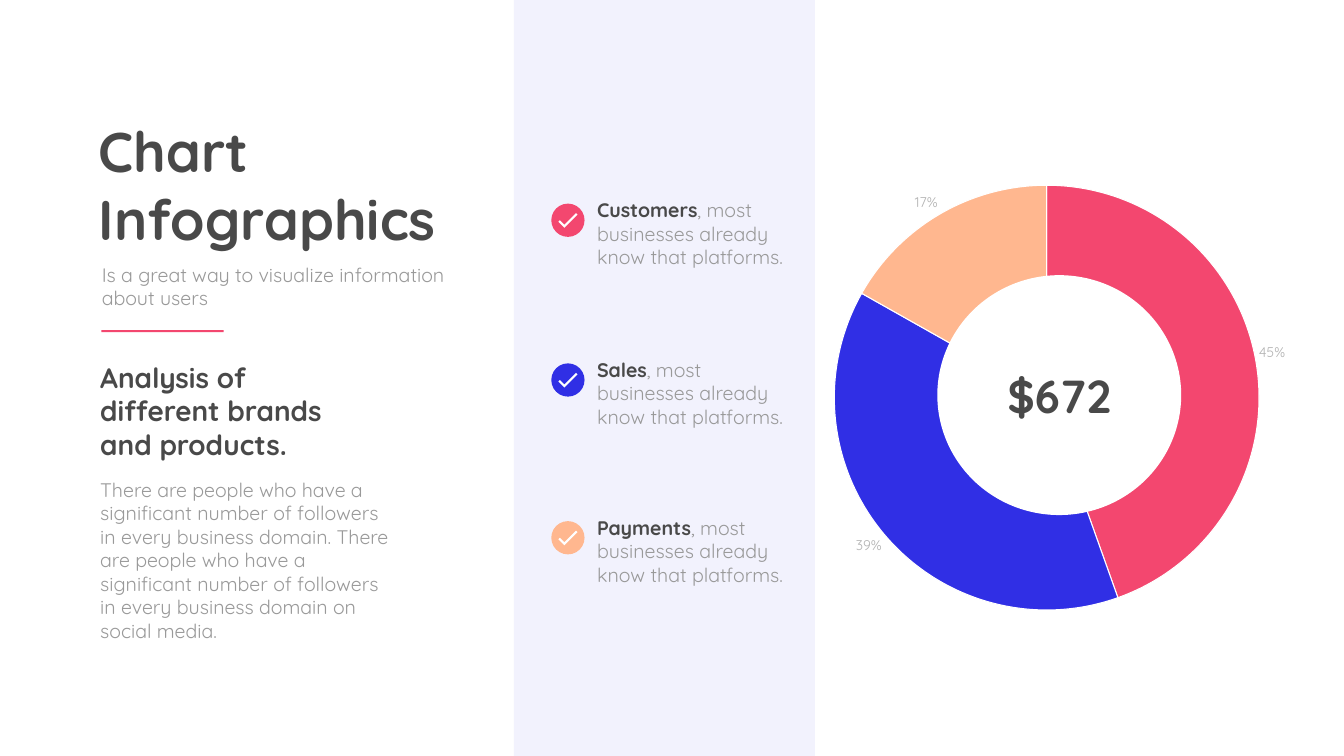
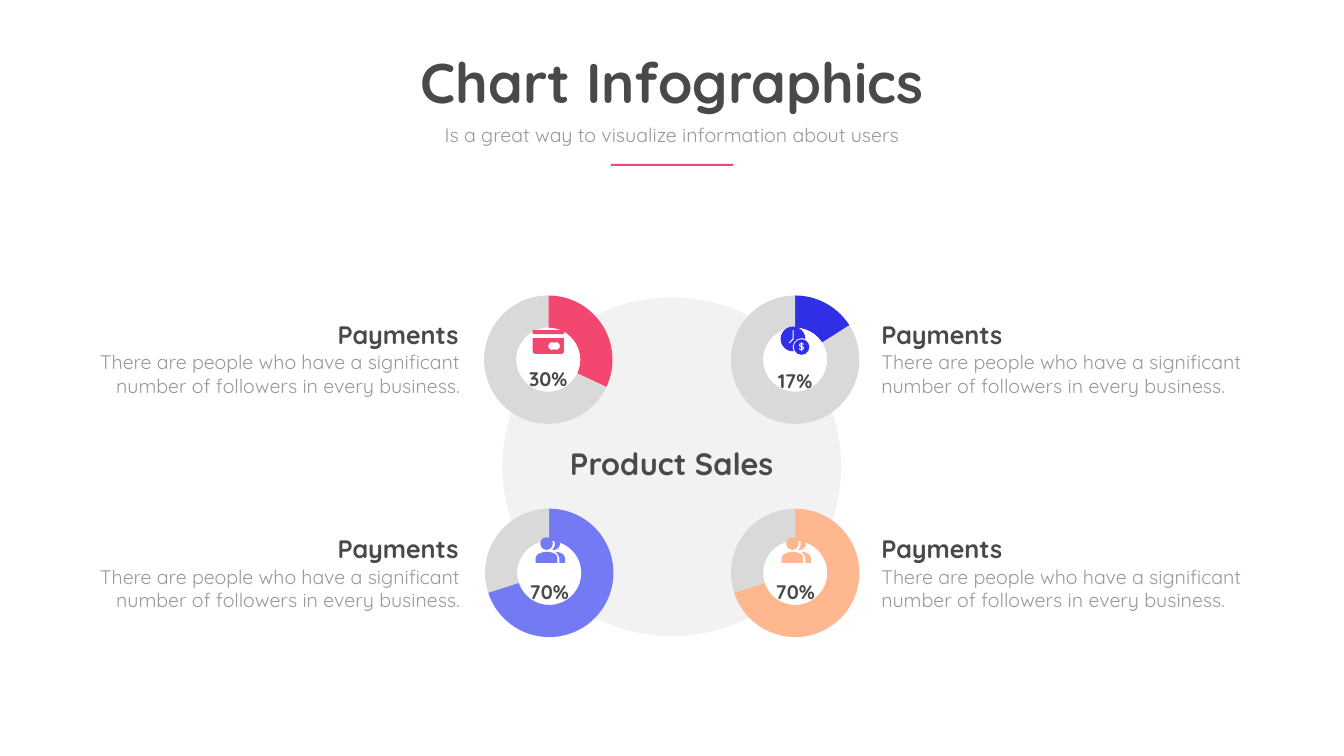
import math
import pptx
import pptx.chart.data
import pptx.dml.color
import pptx.enum.chart
import pptx.enum.shapes
import pptx.enum.text
import pptx.oxml
import pptx.oxml.ns
import pptx.util
from pptx.util import Inches

COLOURS = {
    "ink": "494949", "grey": "999999", "label": "B2B2B2", "white": "FFFFFF",
    "pink": "F3476F", "blue": "302FE5", "peach": "FFB78F", "violet": "7479F4",
    "rest": "D9D9D9", "disc": "F2F2F2", "band": "D6D5FA",
}
RGB = {name: pptx.dml.color.RGBColor.from_string(code) for name, code in COLOURS.items()}
FONT = "Quicksand"
HEADING = {"size": 80, "bold": True, "colour": "ink"}
BODY = {"size": 28, "bold": False, "colour": "grey"}
STRONG = {"size": 28, "bold": True, "colour": "ink"}
ALIGN = pptx.enum.text.PP_ALIGN
ANCHOR = pptx.enum.text.MSO_ANCHOR
SHAPE = pptx.enum.shapes.MSO_SHAPE
CHART = pptx.enum.chart.XL_CHART_TYPE


def add_solid(page, kind, place, colour):
    if kind is None:
        points = [(Inches(x), Inches(y)) for x, y in place]
        builder = page.shapes.build_freeform(*points[0])
        builder.add_line_segments(points[1:], close=True)
        shape = builder.convert_to_shape()
    else:
        shape = page.shapes.add_shape(kind, *map(Inches, place))
    shape.shadow.inherit = False
    shape.fill.solid()
    shape.fill.fore_color.rgb = RGB[colour]
    shape.line.fill.background()
    return shape


def write_text(box, place, spans, align=ALIGN.LEFT, anchor=ANCHOR.TOP):
    box.left, box.top, box.width, box.height = map(Inches, place)
    frame = box.text_frame
    settings = {"word_wrap": True, "auto_size": pptx.enum.text.MSO_AUTO_SIZE.NONE,
                "vertical_anchor": anchor}
    for name, value in settings.items():
        setattr(frame, name, value)
    para = frame.paragraphs[0]
    para.alignment = align
    para.space_before = pptx.util.Pt(0)
    for words, style in spans:
        span = para.add_run()
        span.text = words
        values = {"name": FONT, "size": pptx.util.Pt(style["size"]), "bold": style["bold"]}
        for name, value in values.items():
            setattr(span.font, name, value)
        span.font.color.rgb = RGB[style["colour"]]


deck = pptx.Presentation()
deck.slide_width, deck.slide_height = Inches(26.67), Inches(15)
headers = [
    ((1.86, 2.27, 7.34, 2.79), (1.92, 5.16, 7.61, 1.04), (2.01, 6.55), ALIGN.LEFT),
    ((6.88, 0.9, 12.91, 1.45), (8.55, 2.38, 9.56, 0.57), (12.12, 3.25), ALIGN.CENTER),
]
pages = []
for title_place, subtitle_place, rule_corner, align in headers:
    page = deck.slides.add_slide(deck.slide_layouts[0])
    write_text(page.shapes.title, title_place, [("Chart Infographics", HEADING)], align)
    write_text(page.placeholders[1], subtitle_place,
               [("Is a great way to visualize information about users", BODY)], align)
    add_solid(page, SHAPE.RECTANGLE, (*rule_corner, 2.43, 0.04), "pink")
    pages.append(page)
overview, sales = pages

donuts = [
    (9.59, 5.85, (32, 68), "pink", "30%", 1.39),
    (14.49, 5.85, (16, 84), "blue", "17%", 1.42),
    (14.49, 10.08, (70, 30), "peach", "70%", 1.37),
    (9.61, 10.08, (70, 30), "violet", "70%", 1.37),
]
add_solid(sales, SHAPE.OVAL, (9.97, 5.9, 6.72, 6.72), "disc")
charts = [(overview, CHART.PIE, (14.63, 3.39, 12.04, 8.91), (45, 39, 17),
           ("pink", "blue", "peach"), (0.16, 0.03, 0.7, 0.95))]
for left, top, values, colour, label, drop in donuts:
    add_solid(sales, SHAPE.OVAL, (left + 0.13, top + 0.13, 2.35, 2.35), "white")
    charts.append((sales, CHART.DOUGHNUT, (left, top, 2.58, 2.58), values,
                   (colour, "rest"), (0.005, 0.005, 0.99, 0.988)))

for page, kind, place, values, colours, layout in charts:
    data = pptx.chart.data.CategoryChartData()
    data.categories = [str(number + 1) for number in range(len(values))]
    data.add_series("Series 1", values)
    chart = page.shapes.add_chart(kind, *map(Inches, place), data).chart
    chart.has_legend = False
    chart.has_title = False
    chart.font.name = FONT
    chart.font.size = pptx.util.Pt(18)
    chart.font.color.rgb = RGB["grey"]
    plot = chart.plots[0]
    plot.vary_by_categories = True
    for index, colour in enumerate(colours):
        point = plot.series[0].points[index].format
        point.fill.solid()
        point.fill.fore_color.rgb = RGB[colour]
        if kind == CHART.PIE:
            point.line.color.rgb = RGB["white"]
            point.line.width = pptx.util.Pt(1.5)
        else:
            point.line.fill.background()
    if kind == CHART.PIE:
        plot.has_data_labels = True
        labels = plot.data_labels
        settings = {"show_percentage": True, "show_value": False, "number_format": "0%",
                    "number_format_is_linked": False,
                    "position": pptx.enum.chart.XL_LABEL_POSITION.OUTSIDE_END}
        for name, value in settings.items():
            setattr(labels, name, value)
        labels.font.name = FONT
        labels.font.size = pptx.util.Pt(20)
        labels.font.color.rgb = RGB["label"]
    else:
        chart.element.xpath(".//c:holeSize")[0].set("val", "82")
    area = chart.element.xpath(".//c:plotArea")[0]
    for old in area.xpath("./c:layout"):
        area.remove(old)
    sizes = "".join(f'<c:{tag} val="{value}"/>' for tag, value in zip("xywh", layout))
    area.insert(0, pptx.oxml.parse_xml(
        f'<c:layout {pptx.oxml.ns.nsdecls("c")}><c:manualLayout><c:layoutTarget val="inner"/>'
        f'<c:xMode val="edge"/><c:yMode val="edge"/>{sizes}</c:manualLayout></c:layout>'))

band = add_solid(overview, SHAPE.RECTANGLE, (10.2, 0, 5.97, 15), "band")
tint = band.fill._xPr.xpath(".//a:srgbClr")[0]
tint.append(pptx.oxml.parse_xml(f'<a:alpha {pptx.oxml.ns.nsdecls("a")} val="30000"/>'))
add_solid(overview, SHAPE.OVAL, (18.6, 5.46, 4.84, 4.76), "white")

tick = [(0.26, 0.42), (0.17, 0.33), (0.14, 0.36), (0.26, 0.48), (0.52, 0.22), (0.49, 0.19)]
points = [("Customers", "pink", 4.04), ("Sales", "blue", 7.21), ("Payments", "peach", 10.34)]
for name, colour, top in points:
    add_solid(overview, SHAPE.OVAL, (10.94, top, 0.66, 0.66), colour)
    add_solid(overview, None, [(10.94 + x, top + y) for x, y in tick], "white")
    write_text(overview.shapes.add_textbox(0, 0, 0, 0), (11.75, top - 0.16, 3.94, 1.99),
               [(name, STRONG), (", most businesses already know that platforms.", BODY)])

texts = [
    (overview, (1.89, 7.1, 4.95, 2.12), "Analysis of different brands and products.",
     {**STRONG, "size": 40}, ALIGN.LEFT, ANCHOR.TOP),
    (overview, (1.89, 9.43, 5.97, 3.4),
     "There are people who have a significant number of followers in every business domain. "
     "There are people who have a significant number of followers in every business domain "
     "on social media.", BODY, ALIGN.LEFT, ANCHOR.TOP),
    (overview, (17.91, 7.23, 6.22, 1.22), "$672", {**STRONG, "size": 66},
     ALIGN.CENTER, ANCHOR.MIDDLE),
    (sales, (10.65, 8.77, 5.36, 0.84), "Product Sales", {**STRONG, "size": 44},
     ALIGN.CENTER, ANCHOR.TOP),
]
for top in (6.29, 10.54):
    for name_left, note_left, align in ((4.29, 1.25, ALIGN.RIGHT), (17.39, 17.39, ALIGN.LEFT)):
        texts.append((sales, (name_left, top, 4.91, 0.71), "Payments",
                      {**STRONG, "size": 36}, align, ANCHOR.TOP))
        texts.append((sales, (note_left, top + 0.61, 7.97, 1.04),
                      "There are people who have a significant number of followers "
                      "in every business.", BODY, align, ANCHOR.TOP))
for left, top, values, colour, label, drop in donuts:
    texts.append((sales, (left + 0.43, top + drop, 1.72, 0.57), label, STRONG,
                  ALIGN.CENTER, ANCHOR.TOP))
for page, place, words, style, align, anchor in texts:
    write_text(page.shapes.add_textbox(0, 0, 0, 0), place, [(words, style)], align, anchor)

add_solid(sales, SHAPE.ROUND_2_SAME_RECTANGLE, (10.57, 6.55, 0.62, 0.08), "pink")
card = add_solid(sales, SHAPE.ROUND_2_SAME_RECTANGLE, (10.57, 6.71, 0.62, 0.31), "pink")
card.rotation = 180
for left in (10.88, 10.96):
    add_solid(sales, SHAPE.OVAL, (left, 6.79, 0.15, 0.15), "white")

add_solid(sales, SHAPE.OVAL, (15.49, 6.48, 0.49, 0.49), "blue")
hands = [(15.73, 6.55), (15.75, 6.55), (15.75, 6.73), (15.67, 6.81), (15.65, 6.8), (15.73, 6.72)]
add_solid(sales, None, hands, "white")
add_solid(sales, SHAPE.OVAL, (15.73, 6.71, 0.36, 0.36), "white")
coin_place = (15.75, 6.73, 0.31, 0.31)
coin = add_solid(sales, SHAPE.OVAL, coin_place, "blue")
for side in ("left", "top", "right", "bottom"):
    setattr(coin.text_frame, f"margin_{side}", 0)
write_text(coin, coin_place, [("$", {"size": 14, "bold": True, "colour": "white"})],
           ALIGN.CENTER, ANCHOR.MIDDLE)
coin.text_frame.word_wrap = False

arcs = {
    "back head": [(1.38, 0.71, 0.12, -104, 104), (1.23, 0.71, 0.17, 45, -45)],
    "shoulders": [(1.24, 1.22, 0.35, -122, -58)],
}
curves = {
    name: [(x + radius * math.cos(math.radians(start + (end - start) * step / 24)),
            y + radius * math.sin(math.radians(start + (end - start) * step / 24)))
           for x, y, radius, start, end in parts for step in range(25)]
    for name, parts in arcs.items()
}
front_body = [(1.02, 1.09), (1.02, 0.98), *curves["shoulders"], (1.45, 0.98), (1.45, 1.09)]
back_body = [(1.4, 0.87), (1.49, 0.88), (1.57, 0.92), (1.6, 0.98), (1.6, 1.09),
             (1.49, 1.09), (1.49, 0.98), (1.44, 0.89)]
for left, top, values, colour, label, drop in donuts[2:]:
    add_solid(sales, SHAPE.OVAL, (left + 1.11, top + 0.58, 0.25, 0.25), colour)
    for outline in (curves["back head"], front_body, back_body):
        add_solid(sales, None, [(left + x, top + y) for x, y in outline], colour)

deck.save("out.pptx")
